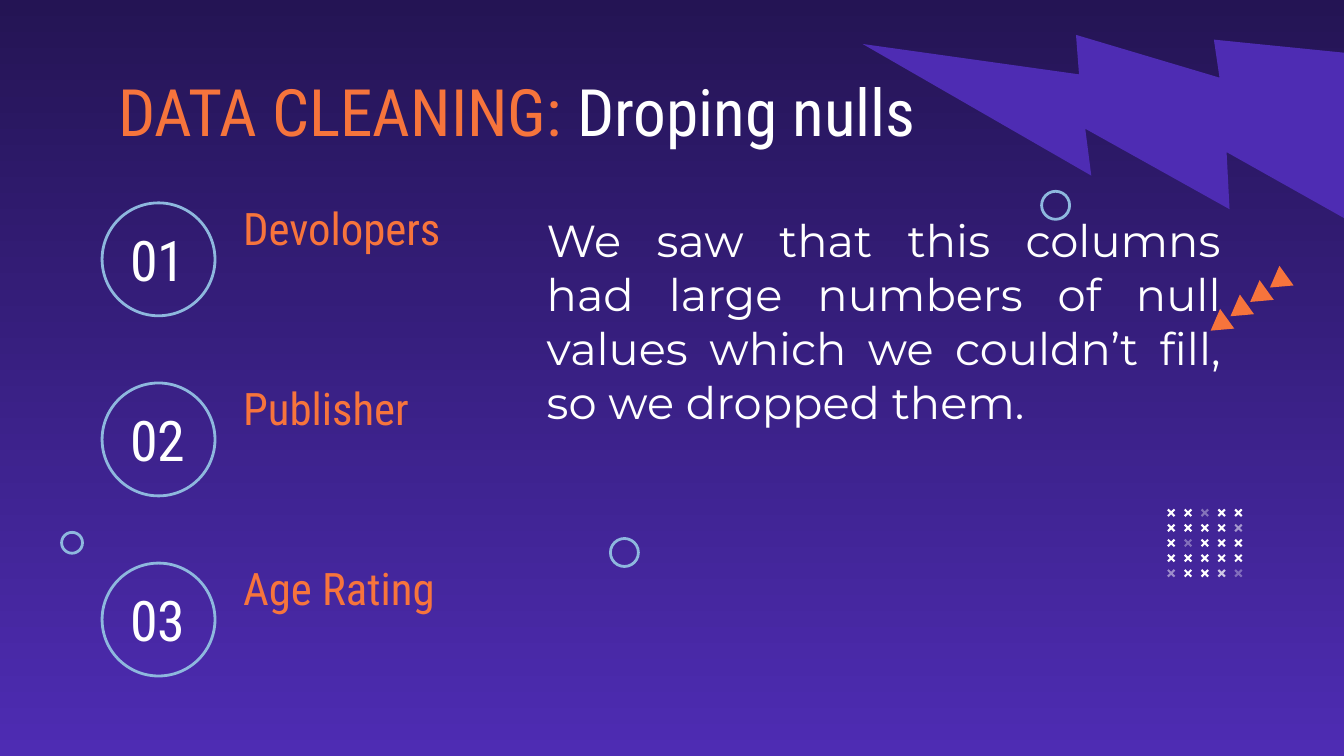
from dataclasses import dataclass

from lxml.etree import SubElement
from pptx import Presentation
from pptx.dml.color import RGBColor
from pptx.enum.shapes import MSO_SHAPE
from pptx.enum.text import MSO_ANCHOR, PP_ALIGN
from pptx.oxml.ns import qn
from pptx.shapes.autoshape import Shape
from pptx.slide import Slide
from pptx.util import Pt

NIGHT = RGBColor(0x24, 0x14, 0x54)
VIOLET = RGBColor(0x4E, 0x2C, 0xB3)
ORANGE = RGBColor(0xF7, 0x74, 0x3C)
TITLE_ORANGE = RGBColor(0xF6, 0x74, 0x3C)
SKY = RGBColor(0x8E, 0xB8, 0xDE)
WHITE = RGBColor(0xFF, 0xFF, 0xFF)
HEADING_FONT = "Roboto Condensed"
BODY_FONT = "Montserrat"


@dataclass(frozen=True)
class Box:
    left: float
    top: float
    width: float
    height: float

    def lengths(self) -> tuple[Pt, Pt, Pt, Pt]:
        return Pt(self.left), Pt(self.top), Pt(self.width), Pt(self.height)


@dataclass(frozen=True)
class Span:
    text: str
    color: RGBColor


COLUMNS = ("Devolopers", "Publisher", "Age Rating")
COLUMN_TOP, COLUMN_STEP = 108.7, 96.5
RINGS = (
    Box(33, 285.2, 11.2, 11.2),
    Box(327, 288.5, 15, 15),
    Box(558, 102.5, 15, 15),
)
CROSS_ROWS, CROSS_COLUMNS = 5, 5
FADED_CROSSES = {(0, 2): 36, (1, 4): 53, (2, 1): 34, (4, 0): 48, (4, 3): 75, (4, 4): 33}
TRIANGLE_COUNT = 4


def add_solid(slide: Slide, kind: MSO_SHAPE, box: Box, color: RGBColor, rotation: float) -> Shape:
    shape = slide.shapes.add_shape(kind, *box.lengths())
    shape.shadow.inherit = False
    shape.fill.solid()
    shape.fill.fore_color.rgb = color
    shape.line.fill.background()
    shape.rotation = rotation
    return shape


def add_ring(slide: Slide, box: Box) -> None:
    ring = slide.shapes.add_shape(MSO_SHAPE.OVAL, *box.lengths())
    ring.shadow.inherit = False
    ring.fill.background()
    ring.line.color.rgb = SKY
    ring.line.width = Pt(1.5)


def add_text(
    slide: Slide,
    box: Box,
    spans: tuple[Span, ...],
    size: float,
    font: str = HEADING_FONT,
    align: PP_ALIGN = PP_ALIGN.LEFT,
    anchor: MSO_ANCHOR = MSO_ANCHOR.MIDDLE,
) -> None:
    frame = slide.shapes.add_textbox(*box.lengths()).text_frame
    frame.word_wrap = True
    frame.vertical_anchor = anchor
    frame.margin_left = frame.margin_right = Pt(7.2)
    frame.margin_top = frame.margin_bottom = Pt(7.2)
    paragraph = frame.paragraphs[0]
    paragraph.alignment = align
    for span in spans:
        run = paragraph.add_run()
        run.text = span.text
        run.font.name = font
        run.font.size = Pt(size)
        run.font.color.rgb = span.color


def set_opacity(shape: Shape, percent: int) -> None:
    color = shape.fill._xPr.find(qn("a:solidFill"))[0]
    SubElement(color, qn("a:alpha")).set("val", str(percent * 1000))


def paint_background(slide: Slide) -> None:
    fill = slide.background.fill
    fill.gradient()
    fill.gradient_angle = 270
    for stop, color in zip(fill.gradient_stops, (NIGHT, VIOLET)):
        stop.color.rgb = color


def add_bolt(slide: Slide) -> None:
    bolt = add_solid(slide, MSO_SHAPE.LIGHTNING_BOLT, Box(504, -49, 228.2, 228.2), VIOLET, 59.9)
    bolt._element.spPr.find(qn("a:xfrm")).set("flipH", "1")


def add_column(slide: Slide, index: int, name: str) -> None:
    """Draw one numbered circle with the name of a cleaned column."""
    top = COLUMN_TOP + index * COLUMN_STEP
    add_ring(slide, Box(54.7, top, 60.5, 60.5))
    number = Span(f"{index + 1:02}", WHITE)
    add_text(slide, Box(52.6, top - 4.3, 64.1, 69.1), (number,), 30, align=PP_ALIGN.CENTER)
    add_text(slide, Box(123.1, top, 245.5, 26.6), (Span(name, ORANGE),), 24)


def add_cross_grid(slide: Slide) -> None:
    for row in range(CROSS_ROWS):
        for column in range(CROSS_COLUMNS):
            box = Box(625 + column * 9, 272.2 + row * 8.1, 5, 5)
            cross = add_solid(slide, MSO_SHAPE.CROSS, box, WHITE, 315)
            cross.adjustments[0] = 0.39
            if (row, column) in FADED_CROSSES:
                set_opacity(cross, FADED_CROSSES[row, column])


def add_triangle_trail(slide: Slide) -> None:
    for step in range(TRIANGLE_COUNT):
        box = Box(678.3 - step * 10.6, 145.4 + step * 7.7, 13, 10.9)
        add_solid(slide, MSO_SHAPE.ISOSCELES_TRIANGLE, box, ORANGE, 234.2)


def main() -> None:
    deck = Presentation()
    deck.slide_width, deck.slide_height = Pt(720), Pt(405)
    slide = deck.slides.add_slide(deck.slide_layouts[6])

    paint_background(slide)
    add_bolt(slide)
    for index, name in enumerate(COLUMNS):
        add_column(slide, index, name)
    title = (Span("DATA CLEANING: ", TITLE_ORANGE), Span("Droping nulls", WHITE))
    add_text(slide, Box(56.2, 31, 607, 46.1), title, 35, anchor=MSO_ANCHOR.TOP)
    add_cross_grid(slide)
    add_triangle_trail(slide)
    reason = Span(
        "We saw that this columns had large numbers of null values "
        "which we couldn’t fill, so we dropped them.",
        WHITE,
    )
    add_text(
        slide, Box(285.8, 99.4, 375.1, 144.7), (reason,), 24, BODY_FONT, PP_ALIGN.JUSTIFY
    )
    for ring in RINGS:
        add_ring(slide, ring)

    deck.save("out.pptx")


if __name__ == "__main__":
    main()
